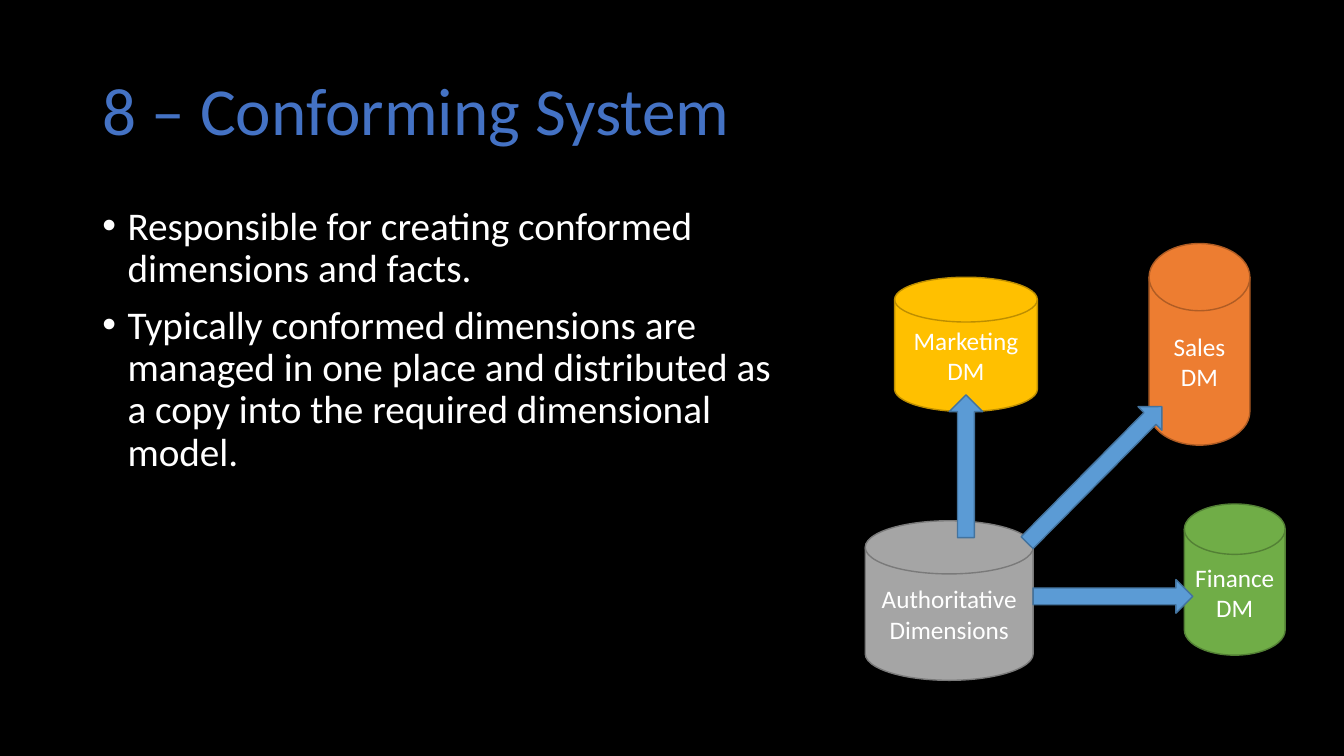
"""Builds the Conforming System slide on a grid of 160 columns by 90 rows."""
from lxml.etree import SubElement
from pptx import Presentation
from pptx.dml.color import RGBColor
from pptx.enum.shapes import MSO_SHAPE
from pptx.enum.text import MSO_ANCHOR, PP_ALIGN
from pptx.oxml.ns import qn
from pptx.util import Inches, Pt

CELL = Inches(1) / 12
COLUMNS, ROWS = 160, 90
FONT = "Calibri"

BLACK = RGBColor(0x00, 0x00, 0x00)
WHITE = RGBColor(0xFF, 0xFF, 0xFF)
TITLE_BLUE = RGBColor(0x44, 0x72, 0xC4)
ARROW_FILL = RGBColor(0x5B, 0x9B, 0xD5)
ARROW_LINE = RGBColor(0x43, 0x73, 0x9E)
GREY, GREY_LINE = RGBColor(0xA5, 0xA5, 0xA5), RGBColor(0x7A, 0x7A, 0x7A)
GOLD, GOLD_LINE = RGBColor(0xFF, 0xC0, 0x00), RGBColor(0xBD, 0x8E, 0x00)
ORANGE, ORANGE_LINE = RGBColor(0xED, 0x7D, 0x31), RGBColor(0xAF, 0x5C, 0x24)
GREEN, GREEN_LINE = RGBColor(0x70, 0xAD, 0x47), RGBColor(0x53, 0x80, 0x35)

TITLE = "8 – Conforming System"
BULLETS = (
    "Responsible for creating conformed dimensions and facts.",
    "Typically conformed dimensions are managed in one place and distributed "
    "as a copy into the required dimensional model.",
)
STORES = (
    ("Authoritative Dimensions", (103, 62, 20, 19), GREY, GREY_LINE),
    ("Marketing\vDM", (106.5, 33, 17, 16), GOLD, GOLD_LINE),
    ("Sales\vDM", (136.8, 29, 12, 24), ORANGE, ORANGE_LINE),
    ("Finance\vDM", (141, 60, 12, 18), GREEN, GREEN_LINE),
)
ARROWS = (
    ((106.5, 53.5, 17, 4), 270),
    ((123, 69, 19, 4), 0),
    ((118.9, 54.5, 22.8, 4), 314.7),
)


def place(grid_box):
    """Turn left, top, width and height in grid cells into lengths."""
    return [round(value * CELL) for value in grid_box]


def apply_format(target, values):
    """Set each named attribute on the target."""
    for name, value in values.items():
        setattr(target, name, value)


def write_paragraph(para, text, size, color, **values):
    """Fill a paragraph with one formatted span."""
    apply_format(para, values)
    para.text = text
    apply_format(para.font, {"name": FONT, "size": Pt(size)})
    para.font.color.rgb = color
    for span in para.runs:
        apply_format(span.font, {"name": FONT, "size": Pt(size)})
        span.font.color.rgb = color


def add_bullet(para):
    """Give a paragraph a hanging round bullet."""
    properties = para._p.get_or_add_pPr()
    properties.set("marL", str(Inches(0.25)))
    properties.set("indent", str(-Inches(0.25)))
    SubElement(properties, qn("a:buFont"), typeface="Arial")
    SubElement(properties, qn("a:buChar"), char="•")


def add_text_box(page, grid_box, anchor):
    """Add a wrapping text box and return its text frame."""
    frame = page.shapes.add_textbox(*place(grid_box)).text_frame
    apply_format(frame, {"word_wrap": True, "vertical_anchor": anchor})
    return frame


def add_title(page):
    """Add the slide title."""
    frame = add_text_box(page, (11, 4.8, 138, 17.4), MSO_ANCHOR.MIDDLE)
    write_paragraph(frame.paragraphs[0], TITLE, 48, TITLE_BLUE, line_spacing=0.9)


def add_bullet_list(page):
    """Add the bulleted explanation."""
    frame = add_text_box(page, (11, 24, 82, 57), MSO_ANCHOR.TOP)
    for index, text in enumerate(BULLETS):
        para = frame.add_paragraph() if index else frame.paragraphs[0]
        write_paragraph(para, text, 28, WHITE, line_spacing=0.9, space_before=Pt(10))
        add_bullet(para)


def add_filled_shape(page, kind, grid_box, fill, line):
    """Add a flat preset shape with a thin outline."""
    shape = page.shapes.add_shape(kind, *place(grid_box))
    shape.shadow.inherit = False
    shape.fill.solid()
    shape.fill.fore_color.rgb = fill
    shape.line.color.rgb = line
    shape.line.width = Pt(1)
    return shape


def add_store(page, label, grid_box, fill, line):
    """Add a labelled data store cylinder."""
    store = add_filled_shape(page, MSO_SHAPE.FLOWCHART_MAGNETIC_DISK, grid_box, fill, line)
    frame = store.text_frame
    apply_format(frame, {"word_wrap": True, "vertical_anchor": MSO_ANCHOR.MIDDLE})
    write_paragraph(frame.paragraphs[0], label, 18, WHITE, alignment=PP_ALIGN.CENTER)


def add_arrow(page, grid_box, rotation):
    """Add a block arrow turned to its target."""
    arrow = add_filled_shape(page, MSO_SHAPE.RIGHT_ARROW, grid_box, ARROW_FILL, ARROW_LINE)
    arrow.rotation = rotation


def main():
    """Build and save the deck."""
    deck = Presentation()
    size = {"slide_width": round(COLUMNS * CELL), "slide_height": round(ROWS * CELL)}
    apply_format(deck, size)
    page = deck.slides.add_slide(deck.slide_layouts[6])
    page.background.fill.solid()
    page.background.fill.fore_color.rgb = BLACK
    add_title(page)
    add_bullet_list(page)
    for store in STORES:
        add_store(page, *store)
    for arrow in ARROWS:
        add_arrow(page, *arrow)
    deck.save("out.pptx")


if __name__ == "__main__":
    main()
